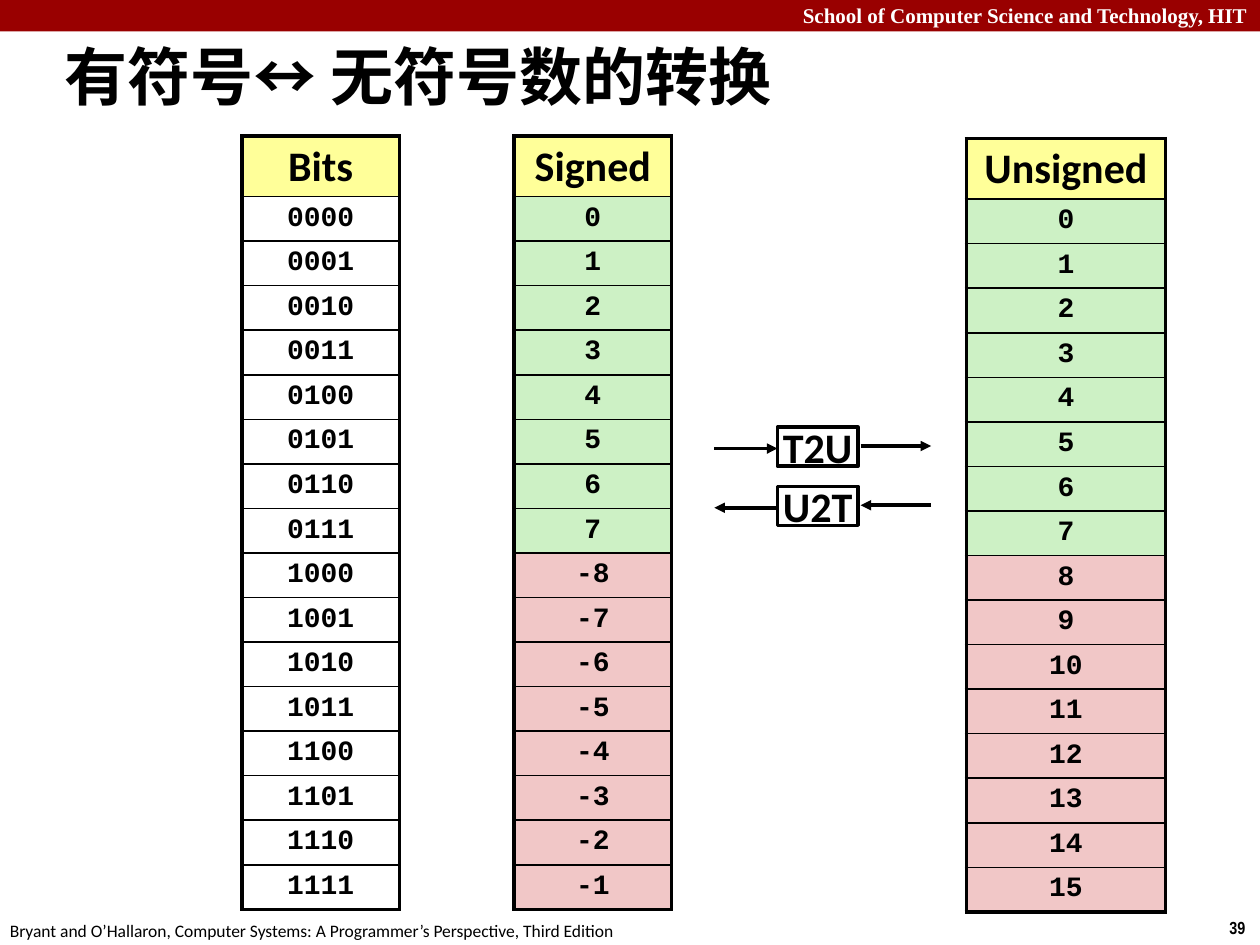
from dataclasses import dataclass

from lxml.etree import SubElement
from pptx import Presentation
from pptx.dml.color import RGBColor
from pptx.enum.shapes import MSO_CONNECTOR as Connector, MSO_SHAPE as Shape
from pptx.enum.text import MSO_ANCHOR as Anchor, PP_ALIGN as Align
from pptx.oxml.ns import qn
from pptx.util import Inches, Pt

BLACK = RGBColor(0x00, 0x00, 0x00)
WHITE = RGBColor(0xFF, 0xFF, 0xFF)
CRIMSON = RGBColor(0x99, 0x00, 0x00)
YELLOW = RGBColor(0xFF, 0xFF, 0x99)
GREEN = RGBColor(0xCD, 0xF1, 0xC5)
PINK = RGBColor(0xF1, 0xC7, 0xC7)

HEADER_HEIGHT, ROW_HEIGHT = Inches(0.48), Inches(5.65 / 16)
THICK, THIN = 2.25, 1


@dataclass(frozen=True)
class Style:
    font: str
    size: float
    bold: bool = True
    color: RGBColor = BLACK
    align: Align = Align.LEFT


@dataclass(frozen=True)
class Label:
    text: str
    left: float
    top: float
    width: float
    height: float
    style: Style
    wrap: bool = False
    inset_x: float = 0.1
    inset_y: float = 0.05


@dataclass(frozen=True)
class NumberColumn:
    title: str
    values: list[str]
    left: float
    top: float
    width: float
    fills: tuple[RGBColor | None, RGBColor | None]


@dataclass(frozen=True)
class Conversion:
    name: str
    top: float
    rightward: bool


HEADING = Style("Calibri", 24, align=Align.CENTER)
DIGITS = Style("Courier New", 16, align=Align.CENTER)

LABELS = [
    Label("School of Computer Science and Technology, HIT", 0, -0.03, 10, 0.3,
          Style("Times New Roman", 12, color=WHITE, align=Align.RIGHT), wrap=True),
    Label("39", 9.66, 7.23, 0.34, 0.27, Style("Arial Narrow", 10)),
    Label("Bryant and O’Hallaron, Computer Systems: A Programmer’s Perspective, Third Edition",
          -0.02, 7.25, 5.08, 0.27, Style("Calibri", 10, bold=False)),
    Label("有符号↔ 无符号数的转换", 0.44, 0.27, 5.85, 0.66, Style("Calibri", 36),
          inset_x=0.07, inset_y=0.03),
]
COLUMNS = [
    NumberColumn("Signed", [str(n if n < 8 else n - 16) for n in range(16)],
                 4.08, 1.08, 1.25, (GREEN, PINK)),
    NumberColumn("Unsigned", [str(n) for n in range(16)], 7.67, 1.1, 1.58, (GREEN, PINK)),
    NumberColumn("Bits", [f"{n:04b}" for n in range(16)], 1.92, 1.08, 1.25, (None, None)),
]
CONVERSIONS = [Conversion("U2T", 3.86, False), Conversion("T2U", 3.39, True)]


def write(frame, text: str, style: Style) -> None:
    para = frame.paragraphs[0]
    para.alignment = style.align
    span = para.add_run()
    span.text = text
    span.font.name = style.font
    span.font.size = Pt(style.size)
    span.font.bold = style.bold
    span.font.color.rgb = style.color


def set_insets(frame, across: float, down: float) -> None:
    frame.margin_left = frame.margin_right = Inches(across)
    frame.margin_top = frame.margin_bottom = Inches(down)


def add_label(page, label: Label) -> None:
    box = page.shapes.add_textbox(Inches(label.left), Inches(label.top),
                                  Inches(label.width), Inches(label.height))
    box.text_frame.word_wrap = label.wrap
    set_insets(box.text_frame, label.inset_x, label.inset_y)
    write(box.text_frame, label.text, label.style)


def add_rectangle(page, left: float, top: float, width: float, height: float, fill: RGBColor):
    box = page.shapes.add_shape(Shape.RECTANGLE, Inches(left), Inches(top),
                                Inches(width), Inches(height))
    box.shadow.inherit = False
    box.fill.solid()
    box.fill.fore_color.rgb = fill
    box.line.fill.background()
    return box


def set_borders(cell, top: float, bottom: float) -> None:
    properties = cell._tc.get_or_add_tcPr()
    for side, width in (("L", THICK), ("R", THICK), ("T", top), ("B", bottom)):
        edge = SubElement(properties, qn(f"a:ln{side}"), w=str(Pt(width)))
        fill = SubElement(edge, qn("a:solidFill"))
        SubElement(fill, qn("a:srgbClr"), val=str(BLACK))


def add_column(page, column: NumberColumn) -> None:
    texts = [column.title, *column.values]
    last = len(texts) - 1
    table = page.shapes.add_table(
        len(texts), 1, Inches(column.left), Inches(column.top), Inches(column.width),
        HEADER_HEIGHT + last * ROW_HEIGHT).table
    table.first_row = table.horz_banding = False
    positive, negative = column.fills
    for index, text in enumerate(texts):
        table.rows[index].height = ROW_HEIGHT if index else HEADER_HEIGHT
        cell = table.cell(index, 0)
        set_insets(cell, 0.05, 0.05)
        set_borders(cell, THIN if index else THICK, THICK if index == last else THIN)
        fill = YELLOW if index == 0 else positive if index <= 8 else negative
        if fill is None:
            cell.fill.background()
        else:
            cell.fill.solid()
            cell.fill.fore_color.rgb = fill
        write(cell.text_frame, text, DIGITS if index else HEADING)
        cell.text_frame.paragraphs[0].line_spacing = 0.95


def add_arrow(page, start: float, end: float, height: float) -> None:
    arrow = page.shapes.add_connector(Connector.STRAIGHT, Inches(start), Inches(height),
                                      Inches(end), Inches(height))
    arrow.line.color.rgb = BLACK
    arrow.line.width = Pt(2)
    SubElement(arrow.line._get_or_add_ln(), qn("a:tailEnd"), type="triangle")
    SubElement(arrow._element.spPr, qn("a:effectLst"))


def add_conversion(page, conversion: Conversion) -> None:
    box = add_rectangle(page, 6.17, conversion.top, 0.64, 0.31, WHITE)
    box.line.color.rgb = BLACK
    box.line.width = Pt(2)
    box.text_frame.word_wrap = False
    box.text_frame.vertical_anchor = Anchor.MIDDLE
    set_insets(box.text_frame, 0.1, 0.05)
    write(box.text_frame, conversion.name, HEADING)
    for left, right, drop in ((5.67, 6.17, 0.17), (6.83, 7.39, 0.15)):
        start, end = (left, right) if conversion.rightward else (right, left)
        add_arrow(page, start, end, conversion.top + drop)


def main() -> None:
    deck = Presentation()
    deck.slide_width, deck.slide_height = Inches(10), Inches(7.5)
    page = deck.slides.add_slide(deck.slide_layouts[6])
    add_rectangle(page, 0, 0, 10, 0.25, CRIMSON)
    for label in LABELS:
        add_label(page, label)
    for column in COLUMNS:
        add_column(page, column)
    for conversion in CONVERSIONS:
        add_conversion(page, conversion)
    deck.save("out.pptx")


if __name__ == "__main__":
    main()
